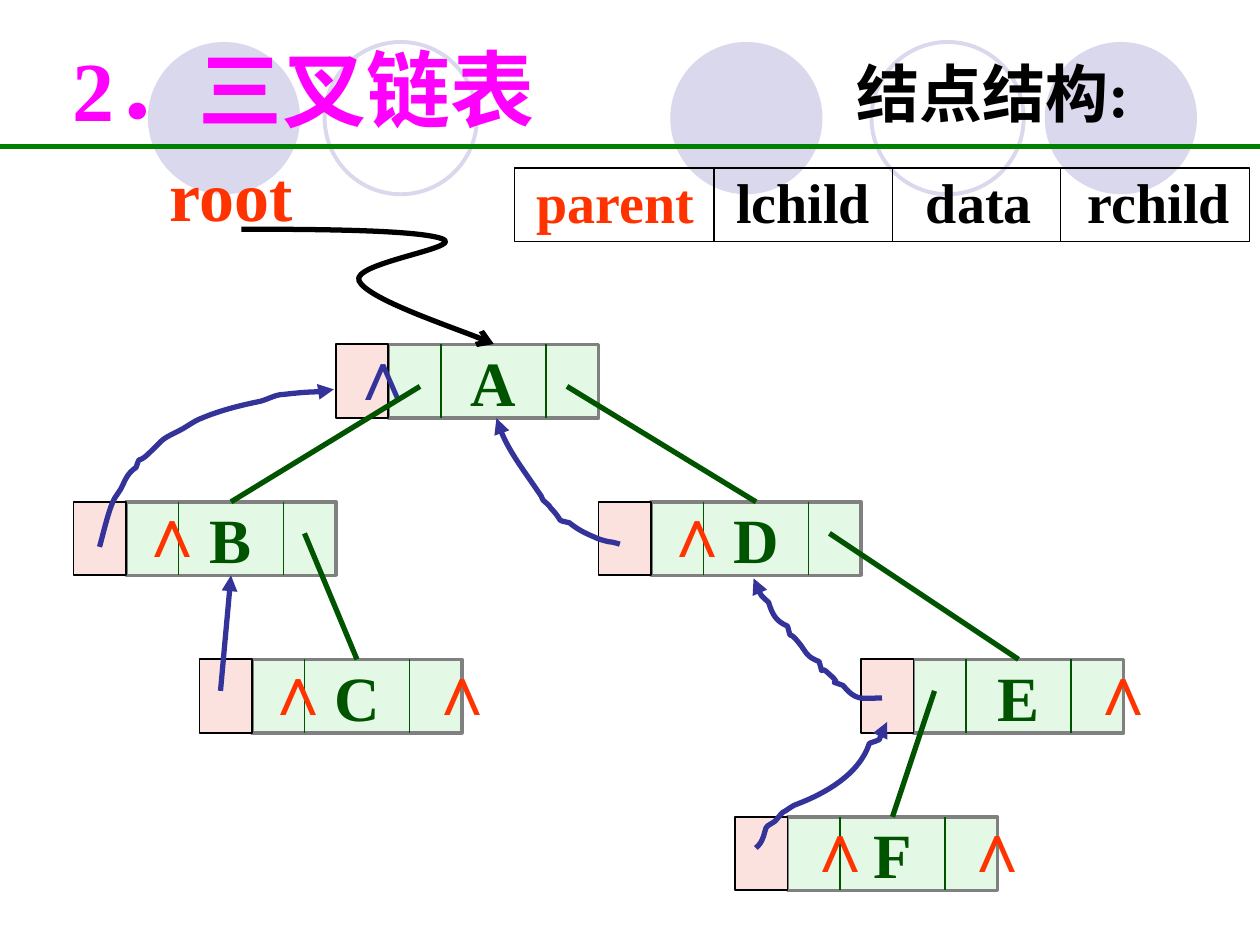
import lxml.etree
import pptx
import pptx.dml.color
import pptx.enum.shapes
import pptx.enum.text
import pptx.oxml.ns
import pptx.util

Pt = pptx.util.Pt
qn = pptx.oxml.ns.qn
SHAPE = pptx.enum.shapes.MSO_SHAPE

COLORS = {
    "lilac": "D9D8EC", "rule": "008000", "mint": "CAF2CE", "grey": "808080",
    "green": "005400", "pink": "FBE2DF", "black": "000000", "red": "FF3300",
    "blue": "333399", "magenta": "FF00FF",
}
SERIF, SANS, CJK = "Times New Roman", "Arial", "Noto Sans CJK SC"
FONTS = {
    "title": {"name": SERIF, "size": Pt(48), "bold": True},
    "title_cjk": {"name": CJK, "size": Pt(48), "bold": True},
    "label": {"name": SERIF, "size": Pt(40), "bold": True},
    "null": {"name": SANS, "size": Pt(40), "bold": True},
    "node": {"name": SERIF, "size": Pt(36), "bold": True},
    "caption": {"name": SERIF, "size": Pt(36), "bold": True},
    "field": {"name": SERIF, "size": Pt(32), "bold": True},
}
NODE_W, NODE_H, CELL_W = 120, 42, 30
NODES = {
    "A": (222, 196.8), "D": (372, 286.8), "E": (522, 376.8),
    "B": (72, 286.8), "C": (144, 376.8), "F": (450, 466.8),
}
NULLS = [
    ("A", -30, "blue"), ("B", -0.7, "red"), ("D", -0.7, "red"), ("C", -0.7, "red"),
    ("C", 93, "red"), ("E", 93, "red"), ("F", 3, "red"), ("F", 93, "red"),
]
CHILD_LINKS = [
    ("A", "B", 18, 24), ("A", "D", 102, 24), ("B", "C", 102, 18),
    ("D", "E", 102, 18), ("E", "F", 12, 18),
]
ROOT_CURVE = [
    (138, 131), (190, 131), (242, 131.8), (253.4, 136.8), (264.2, 141.8),
    (200.2, 150.5), (205.2, 160.6), (210.2, 170.6), (269.3, 190.8), (282.2, 196.6),
]
B_TO_A = [
    (56.9, 312.5), (59, 305.3), (62.6, 288.7), (66.2, 283.7), (67, 282.2),
    (68.4, 280.8), (69.1, 279.4), (72, 273.6), (72.7, 270.7), (77.8, 267.1),
    (80.6, 259.2), (77.8, 265.7), (84.2, 259.9), (95, 249.8), (90.7, 252),
    (102.2, 246.2), (106.6, 244.1), (110.9, 240.5), (115.2, 239), (125.3, 234.7),
    (136.8, 231.8), (146.9, 229.7), (151.9, 229), (157, 225.4), (162, 225.4),
    (169.2, 224.6), (175.7, 223.9), (182.9, 223.9), (185.8, 223.2),
    (190.8, 222.5), (190.8, 222.5),
]
A_FROM_D = [
    (283.7, 239), (288, 254.2), (298.1, 267.1), (307.4, 280.8), (308.9, 282.2),
    (309.6, 284.4), (310.3, 285.8), (311.8, 287.3), (313.9, 288.7), (314.6, 290.2),
    (323.3, 299.5), (316.8, 296.6), (325.4, 298.8), (329.8, 302.4), (334.1, 304.6),
    (339.1, 306.7), (342, 308.2), (344.9, 308.9), (347.8, 309.6), (349.9, 309.6),
    (354.2, 311), (354.2, 311),
]
D_FROM_E = [
    (430.6, 330.5), (432.7, 337), (434.2, 339.8), (439.2, 344.2), (441.4, 351.4),
    (443.5, 355), (450, 357.8), (452.9, 367.9), (449.3, 358.6), (455.8, 366.5),
    (460.8, 372.2), (460.1, 375.1), (468, 378), (471.6, 389.5), (466.6, 378),
    (473.8, 385.2), (483.8, 393.8), (470.2, 387.4), (481.7, 391.7), (489.6, 401),
    (491.8, 398.9), (504, 398.9),
]
E_FROM_F = [
    (506.9, 412.6), (500.4, 424.8), (504.7, 421.9), (496.8, 424.8), (491, 442.8),
    (470.9, 453.6), (455.8, 459.4), (452.9, 460.1), (450, 463), (447.1, 464.4),
    (445.7, 465.8), (444.2, 468), (442.8, 469.4), (441.4, 470.9), (439.2, 470.9),
    (437.8, 473), (437, 474.5), (437, 476.6), (436.3, 478.1), (434.9, 481.7),
    (434.2, 482.4), (432, 484.6),
]


class Deck:
    def __init__(self, s):
        self.s = s

    def rgb(self, color):
        return pptx.dml.color.RGBColor.from_string(COLORS[color])

    def outline(self, sp, color, width, arrow=None):
        sp.line.color.rgb = self.rgb(color)
        sp.line.width = Pt(width)
        if arrow:
            end, kind = arrow
            ln = sp._element.spPr.find(qn("a:ln"))
            lxml.etree.SubElement(ln, qn(f"a:{end}"), type=kind)

    def shape(self, kind, x, y, w, h, fill=None, line=None, alpha=None):
        sp = self.s.shapes.add_shape(kind, Pt(x), Pt(y), Pt(w), Pt(h))
        sp.shadow.inherit = False
        if fill:
            sp.fill.solid()
            sp.fill.fore_color.rgb = self.rgb(fill)
        else:
            sp.fill.background()
        if alpha:
            clr = sp._element.spPr.find(qn("a:solidFill"))[0]
            lxml.etree.SubElement(clr, qn("a:alpha"), val=str(alpha * 1000))
        if line:
            self.outline(sp, *line)
        else:
            sp.line.fill.background()
        return sp

    def line(self, x1, y1, x2, y2, color, width, arrow=None):
        sp = self.s.shapes.add_connector(
            pptx.enum.shapes.MSO_CONNECTOR.STRAIGHT, Pt(x1), Pt(y1), Pt(x2), Pt(y2))
        self.outline(sp, color, width, arrow)
        lxml.etree.SubElement(sp._element.spPr, qn("a:effectLst"))
        return sp

    def curve(self, points, color, arrow):
        pts = [(Pt(x), Pt(y)) for x, y in points]
        fb = self.s.shapes.build_freeform(*pts[0])
        fb.add_line_segments(pts[1:], close=False)
        sp = fb.convert_to_shape()
        sp.shadow.inherit = False
        sp.fill.background()
        self.outline(sp, color, 3, arrow)
        geom = sp._element.find(".//" + qn("a:path"))
        steps = geom.findall(qn("a:lnTo"))
        for i in range(0, len(steps), 3):
            bez = lxml.etree.SubElement(geom, qn("a:cubicBezTo"))
            for step in steps[i:i + 3]:
                bez.append(step[0])
                geom.remove(step)

    def run(self, p, text, style, color):
        r = p.add_run()
        r.text = text
        r.font.color.rgb = self.rgb(color)
        for key, value in FONTS[style].items():
            setattr(r.font, key, value)
        lxml.etree.SubElement(r._r.get_or_add_rPr(), qn("a:ea"), typeface=CJK)

    def text(self, x, y, w, h, runs, wrap=False, tabs=()):
        sp = self.s.shapes.add_textbox(Pt(x), Pt(y), Pt(w), Pt(h))
        tf = sp.text_frame
        tf.word_wrap = wrap
        tf.auto_size = pptx.enum.text.MSO_AUTO_SIZE.SHAPE_TO_FIT_TEXT
        p = tf.paragraphs[0]
        if tabs:
            stops = lxml.etree.SubElement(p._p.get_or_add_pPr(), qn("a:tabLst"))
            for pos in tabs:
                lxml.etree.SubElement(stops, qn("a:tab"), pos=str(Pt(pos)), algn="l")
        for run in runs:
            self.run(p, *run)

    def node(self, name, x, y):
        sp = self.shape(SHAPE.RECTANGLE, x, y, NODE_W, NODE_H, "mint", ("grey", 2), 50)
        tf = sp.text_frame
        tf.word_wrap = False
        tf.vertical_anchor = pptx.enum.text.MSO_ANCHOR.MIDDLE
        p = tf.paragraphs[0]
        p.alignment = pptx.enum.text.PP_ALIGN.CENTER
        self.run(p, name, "node", "green")
        for dx in (CELL_W, NODE_W - CELL_W):
            self.line(x + dx, y, x + dx, y + NODE_H, "green", 1)
        self.shape(SHAPE.RECTANGLE, x - CELL_W, y, CELL_W, NODE_H, "pink", ("black", 1))
        return sp


def main():
    prs = pptx.Presentation()
    prs.slide_width, prs.slide_height = Pt(720), Pt(540)
    d = Deck(prs.slides.add_slide(prs.slide_layouts[6]))

    for x in (383, 597, 84.5):
        d.shape(SHAPE.OVAL, x, 24, 87, 87, fill="lilac")
    for x in (498, 185.5):
        d.shape(SHAPE.OVAL, x, 24, 87, 87, line=("lilac", 2.25))
    d.line(0, 83.75, 720, 83.75, "rule", 2.5)

    boxes = {name: d.node(name, x, y) for name, (x, y) in NODES.items()}
    for name, dx, color in NULLS:
        x, y = NODES[name]
        d.text(x + dx, y - 11.5, 27.5, 55.5, [("∧", "null", color)])
    for parent, child, dx, dy in CHILD_LINKS:
        x, y = NODES[parent]
        cx, cy = NODES[child]
        sp = d.line(x + dx, y + dy, cx + NODE_W / 2, cy, "green", 3)
        sp.end_connect(boxes[child], 0)

    d.curve(ROOT_CURVE, "black", ("tailEnd", "arrow"))
    d.text(90, 83, 85, 55.5, [("root", "label", "red")])
    d.curve(B_TO_A, "blue", ("tailEnd", "triangle"))
    sp = d.line(132, 328.8, 126, 394.8, "blue", 3, ("headEnd", "triangle"))
    sp.begin_connect(boxes["B"], 2)
    for points in (A_FROM_D, D_FROM_E, E_FROM_F):
        d.curve(points, "blue", ("headEnd", "triangle"))

    d.text(34.5, 18, 399, 65, [("2．", "title", "magenta"),
                               ("三叉链表", "title_cjk", "magenta")], wrap=True)
    d.text(299.5, 92, 420, 46, [("parent", "field", "red"),
                                ("\tlchild\tdata\trchild", "field", "black")],
           wrap=True, tabs=(114, 222.5, 315))
    d.shape(SHAPE.RECTANGLE, 294, 96, 420, NODE_H, line=("black", 1))
    for x in (408, 510, 606):
        d.line(x, 96, x, 96 + NODE_H, "black", 1)
    d.text(482.5, 27.5, 178.5, 50.5, [("结点结构:", "caption", "black")])

    prs.save("out.pptx")


if __name__ == "__main__":
    main()
